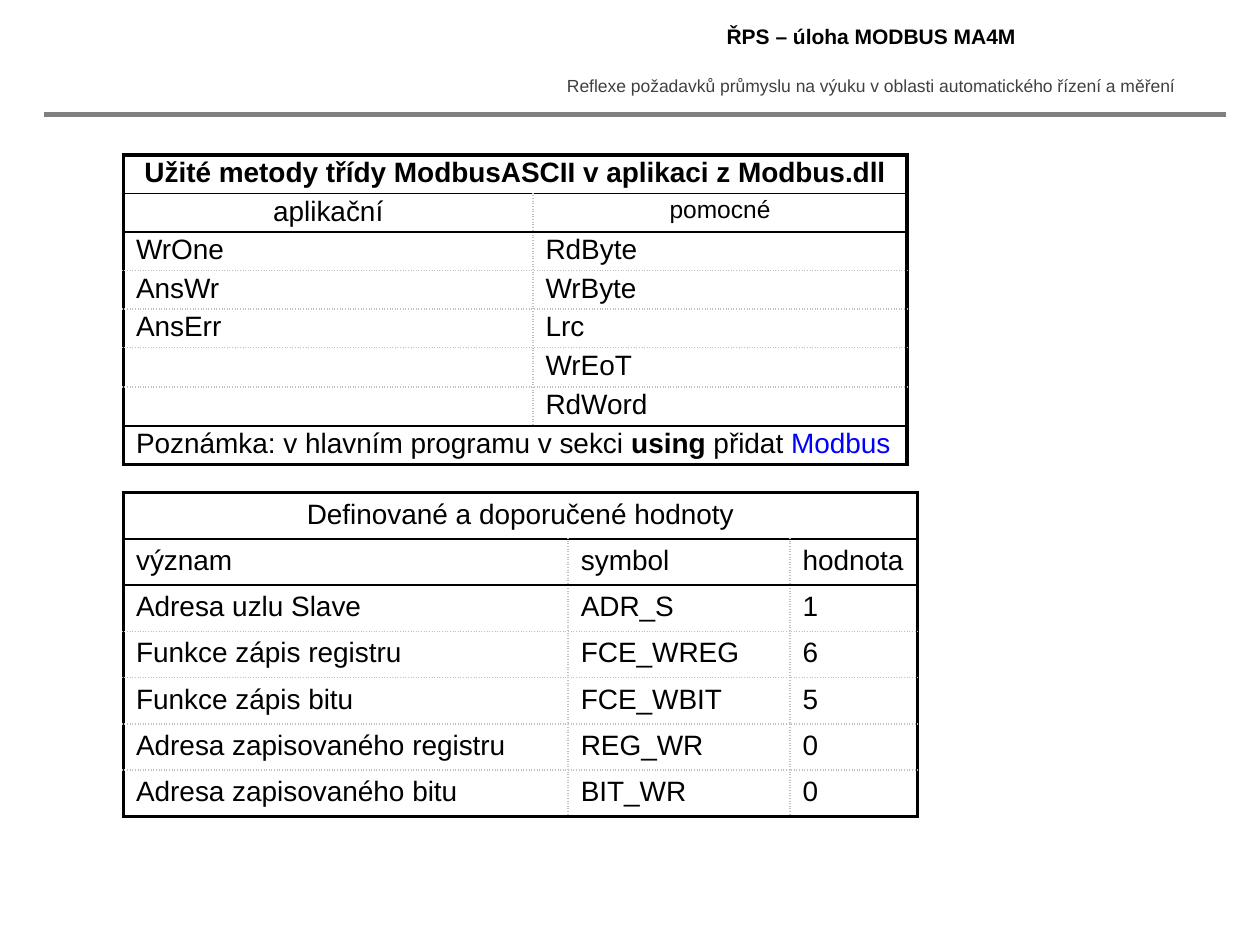
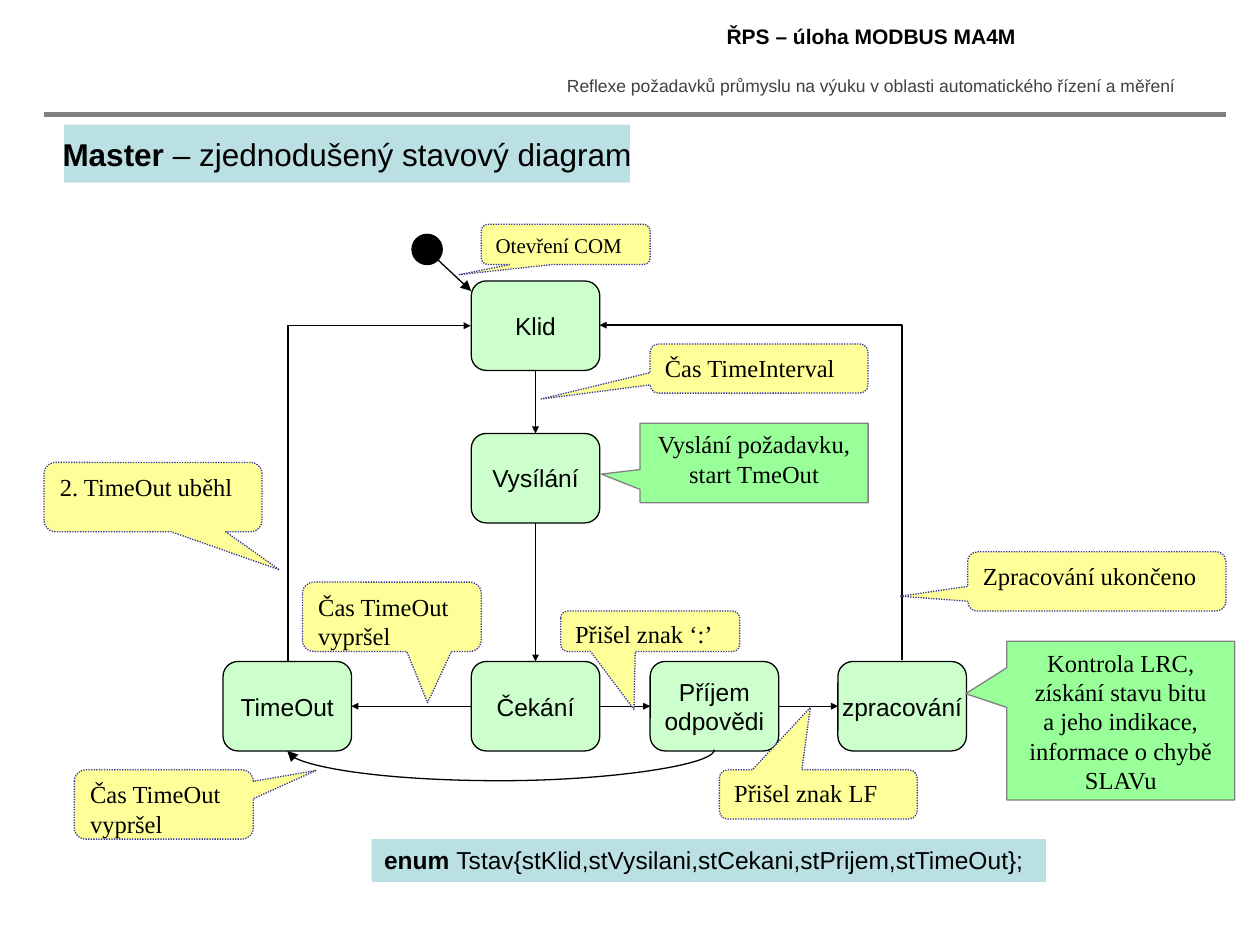
"""Build two slides on a Modbus task: method tables and a state diagram."""
from dataclasses import dataclass
from typing import NamedTuple

from lxml.etree import SubElement
from pptx import Presentation
from pptx.dml.color import RGBColor
from pptx.enum.dml import MSO_LINE
from pptx.enum.shapes import MSO_CONNECTOR, MSO_SHAPE
from pptx.enum.text import MSO_ANCHOR, MSO_AUTO_SIZE, PP_ALIGN
from pptx.oxml.ns import qn
from pptx.util import Inches, Pt

BLACK, GREY, DOTTED_GREY, TAGLINE_GREY = "000000", "808080", "C0C0C0", "404040"
STATE_GREEN, ACTION_GREEN, EVENT_YELLOW = "CCFFCC", "99FF99", "FFFF99"
BAND_BLUE, EVENT_BORDER, LINK_BLUE = "BBE0E3", "333399", "0000FF"
SANS, SERIF = "Arial", "Times New Roman"
HEADING = "ŘPS – úloha MODBUS MA4M"
TAGLINE = "Reflexe požadavků průmyslu na výuku v oblasti automatického řízení a měření"
STATE_WIDTH, STATE_HEIGHT = 1.02, 0.71
TOP, LEFT, BOTTOM, RIGHT = range(4)


class Run(NamedTuple):
    text: str
    bold: bool = False
    color: str = BLACK
    size: float | None = None


class Box(NamedTuple):
    left: float
    top: float
    width: float
    height: float


@dataclass
class Grid:
    box: Box
    columns: list[float]
    rows: list[list]
    solid_lines: set[int]
    centered_rows: int
    vertical_margin: float


@dataclass
class State:
    name: str
    left: float
    top: float


@dataclass
class Callout:
    text: str
    box: Box
    tip: tuple[float, float]
    size: float = 14
    action: bool = False


@dataclass
class Route:
    start: str
    start_side: int
    end: str
    end_side: int
    preset: str = "straightConnector1"
    box: Box | None = None
    rotation: int = 0
    flipped: bool = False
    adjustment: int | None = None
    head: str = "sm"


GRIDS = [
    Grid(Box(0.98, 1.23, 6.22, 2.45), [3.25, 2.97], [
        [[Run("Užité metody třídy ModbusASCII v aplikaci z Modbus.dll", bold=True)]],
        ["aplikační", [Run("pomocné", size=14)]],
        ["WrOne", "RdByte"],
        ["AnsWr", "WrByte"],
        ["AnsErr", "Lrc"],
        ["", "WrEoT"],
        ["", "RdWord"],
        [[Run("Poznámka: v hlavním programu v sekci "), Run("using ", bold=True),
          Run("přidat "), Run("Modbus", color=LINK_BLUE)]],
    ], {1, 2, 7}, 2, 0.02),
    Grid(Box(0.98, 3.91, 6.3, 2.57), [3.53, 1.76, 1.01], [
        ["Definované a doporučené hodnoty"],
        ["význam", "symbol", "hodnota"],
        ["Adresa uzlu Slave", "ADR_S", "1"],
        ["Funkce zápis registru", "FCE_WREG", "6"],
        ["Funkce zápis bitu", "FCE_WBIT", "5"],
        ["Adresa zapisovaného registru", "REG_WR", "0"],
        ["Adresa zapisovaného bitu", "BIT_WR", "0"],
    ], {1, 2}, 1, 0.05),
]

STATES = [
    State("Klid", 3.74, 2.23),
    State("Vysílání", 3.74, 3.44),
    State("Čekání", 3.74, 5.25),
    State("Příjem\nodpovědi", 5.16, 5.25),
    State("TimeOut", 1.77, 5.25),
    State("zpracování", 6.65, 5.25),
]

ROUTES = [
    Route("Klid", BOTTOM, "Vysílání", TOP),
    Route("Vysílání", BOTTOM, "Čekání", TOP),
    Route("Čekání", RIGHT, "Příjem\nodpovědi", LEFT),
    Route("Čekání", LEFT, "TimeOut", RIGHT),
    Route("Příjem\nodpovědi", RIGHT, "zpracování", LEFT),
    Route("zpracování", TOP, "Klid", RIGHT, "bentConnector2",
          Box(4.63, 2.71, 2.66, 2.4), 90, True),
    Route("TimeOut", TOP, "Klid", LEFT, "bentConnector2",
          Box(1.68, 3.19, 2.66, 1.45), 270),
    Route("Příjem\nodpovědi", BOTTOM, "TimeOut", BOTTOM, "curvedConnector3",
          Box(3.97, 4.26, 0.01, 3.39), 90, adjustment=2500000, head="med"),
]

CALLOUTS = [
    Callout("Otevření COM", Box(3.82, 1.78, 1.34, 0.32), (-0.63, 0.75), size=12),
    Callout("Čas TimeInterval", Box(5.16, 2.73, 1.73, 0.39), (-1.0, 0.62)),
    Callout("Vyslání požadavku,\nstart TmeOut", Box(5.08, 3.36, 1.81, 0.63),
            (-0.67, 0.14), action=True),
    Callout("Čas TimeOut\nvypršel", Box(2.4, 4.62, 1.42, 0.55), (0.2, 1.24)),
    Callout("2. TimeOut uběhl", Box(0.35, 3.67, 1.73, 0.55), (0.58, 1.05)),
    Callout("Zpracování ukončeno", Box(7.68, 4.38, 2.05, 0.47), (-0.76, 0.25)),
    Callout("Přišel znak ‘:’", Box(4.45, 4.85, 1.42, 0.32), (-0.09, 1.94)),
    Callout("Čas TimeOut\nvypršel", Box(0.59, 6.11, 1.42, 0.55), (0.85, -0.49)),
    Callout("Kontrola LRC,\nzískání stavu bitu\na jeho indikace,\ninformace o chybě SLAVu",
            Box(7.99, 5.09, 1.81, 1.26), (-0.68, -0.17), action=True),
    Callout("Přišel znak LF", Box(5.71, 6.11, 1.57, 0.39), (-0.04, -1.77)),
]


def rgb(color: str) -> RGBColor:
    return RGBColor.from_string(color)


def inches(box: Box) -> list[int]:
    return [Inches(value) for value in box]


def write(frame, text: str | list[Run], *, size: float = 14, font: str = SANS,
          color: str = BLACK, bold: bool = False, align=PP_ALIGN.LEFT,
          anchor=MSO_ANCHOR.TOP, wrap: bool = True) -> None:
    frame.word_wrap = wrap
    frame.auto_size = MSO_AUTO_SIZE.NONE
    frame.vertical_anchor = anchor
    lines = [text] if isinstance(text, list) else [
        [Run(line, bold, color)] if line else [] for line in text.split("\n")]
    for index, line in enumerate(lines):
        paragraph = frame.paragraphs[0] if index == 0 else frame.add_paragraph()
        paragraph.alignment = align
        for item in line:
            run = paragraph.add_run()
            run.text = item.text
            run.font.name = font
            run.font.size = Pt(item.size or size)
            run.font.bold = item.bold
            run.font.color.rgb = rgb(item.color)
        if not line:
            SubElement(paragraph._p, qn("a:endParaRPr"), sz=str(int(size * 100)))


def add_box(slide, preset, box: Box, fill: str, line: str | None = None):
    shape = slide.shapes.add_shape(preset, *inches(box))
    shape.shadow.inherit = False
    shape.fill.solid()
    shape.fill.fore_color.rgb = rgb(fill)
    if line:
        shape.line.color.rgb = rgb(line)
        shape.line.width = Pt(0.75)
    else:
        shape.line.fill.background()
    return shape


def add_line(slide, start: tuple[float, float], end: tuple[float, float], *,
             color: str = BLACK, width: float = 0.75, head: str | None = None):
    connector = slide.shapes.add_connector(
        MSO_CONNECTOR.STRAIGHT, *[Inches(value) for value in (*start, *end)])
    connector.line.color.rgb = rgb(color)
    connector.line.width = Pt(width)
    if head:
        SubElement(connector.line._get_or_add_ln(), qn("a:tailEnd"),
                   type="triangle", w=head, len=head)
    SubElement(connector._element.spPr, qn("a:effectLst"))
    return connector


def add_route(slide, route: Route, states: dict) -> None:
    connector = add_line(slide, (0, 0), (1, 1), head=route.head)
    connector.begin_connect(states[route.start], route.start_side)
    connector.end_connect(states[route.end], route.end_side)
    if route.box is None:
        return
    properties = connector._element.spPr
    transform = properties.find(qn("a:xfrm"))
    for name in ("flipH", "flipV"):
        transform.attrib.pop(name, None)
    connector.left, connector.top, connector.width, connector.height = inches(route.box)
    transform.set("rot", str(route.rotation * 60000))
    if route.flipped:
        transform.set("flipH", "1")
    geometry = properties.find(qn("a:prstGeom"))
    geometry.set("prst", route.preset)
    if route.adjustment is not None:
        SubElement(geometry.find(qn("a:avLst")), qn("a:gd"), name="adj1",
                   fmla=f"val {route.adjustment}")


def add_callout(slide, callout: Callout) -> None:
    if callout.action:
        preset, fill, line = MSO_SHAPE.RECTANGULAR_CALLOUT, ACTION_GREEN, GREY
    else:
        preset, fill, line = MSO_SHAPE.ROUNDED_RECTANGULAR_CALLOUT, EVENT_YELLOW, EVENT_BORDER
    shape = add_box(slide, preset, callout.box, fill, line)
    shape.adjustments[0], shape.adjustments[1] = callout.tip
    if not callout.action:
        shape.line.dash_style = MSO_LINE.ROUND_DOT
    write(shape.text_frame, callout.text, size=callout.size, font=SERIF,
          align=PP_ALIGN.CENTER if callout.action else PP_ALIGN.LEFT)


def add_border(cell, side: str, position: int, last: int, solid: set[int]) -> None:
    outer = position in (0, last)
    dark = outer or position in solid
    border = SubElement(cell._tc.get_or_add_tcPr(), qn(f"a:{side}"),
                        w=str(Pt(2.25 if outer else 1)))
    fill = SubElement(border, qn("a:solidFill"))
    SubElement(fill, qn("a:srgbClr"), val=BLACK if dark else DOTTED_GREY)
    SubElement(border, qn("a:prstDash"), val="solid" if dark else "sysDot")


def add_grid(slide, grid: Grid) -> None:
    row_count, column_count = len(grid.rows), len(grid.columns)
    table = slide.shapes.add_table(row_count, column_count, *inches(grid.box)).table
    table.first_row = table.horz_banding = False
    for column, width in zip(table.columns, grid.columns):
        column.width = Inches(width)
    for row_index, texts in enumerate(grid.rows):
        table.rows[row_index].height = Inches(grid.box.height / row_count)
        if len(texts) == 1:
            table.cell(row_index, 0).merge(table.cell(row_index, column_count - 1))
        for column_index, text in enumerate(texts):
            cell = table.cell(row_index, column_index)
            cell.margin_top = cell.margin_bottom = Inches(grid.vertical_margin)
            centered = row_index < grid.centered_rows
            write(cell.text_frame, text, size=16,
                  align=PP_ALIGN.CENTER if centered else PP_ALIGN.LEFT)
            span = column_count if cell.is_merge_origin else 1
            add_border(cell, "lnL", column_index, column_count, set())
            add_border(cell, "lnR", column_index + span, column_count, set())
            add_border(cell, "lnT", row_index, row_count, grid.solid_lines)
            add_border(cell, "lnB", row_index + 1, row_count, grid.solid_lines)
            cell.fill.background()


def add_page(presentation):
    slide = presentation.slides.add_slide(presentation.slide_layouts[5])
    title = slide.shapes.title
    title.left, title.top, title.width, title.height = inches(Box(4.3, 0.14, 5.23, 0.31))
    write(title.text_frame, HEADING, size=12, bold=True, align=PP_ALIGN.CENTER)
    tagline = slide.shapes.add_textbox(*inches(Box(4.3, 0.55, 5.22, 0.27)))
    write(tagline.text_frame, TAGLINE, size=10, color=TAGLINE_GREY, align=PP_ALIGN.CENTER)
    add_line(slide, (0.35, 0.91), (9.73, 0.91), color=GREY, width=3)
    return slide


def add_diagram(slide) -> None:
    band = add_box(slide, MSO_SHAPE.RECTANGLE, Box(0.51, 0.99, 4.49, 0.46), BAND_BLUE)
    write(band.text_frame, [Run("Master", bold=True), Run(" – zjednodušený stavový diagram")],
          size=18, align=PP_ALIGN.CENTER, anchor=MSO_ANCHOR.MIDDLE, wrap=False)
    states = {}
    for state in STATES:
        box = Box(state.left, state.top, STATE_WIDTH, STATE_HEIGHT)
        shape = add_box(slide, MSO_SHAPE.ROUNDED_RECTANGLE, box, STATE_GREEN, BLACK)
        write(shape.text_frame, state.name, align=PP_ALIGN.CENTER,
              anchor=MSO_ANCHOR.MIDDLE, wrap=False)
        states[state.name] = shape
    add_box(slide, MSO_SHAPE.OVAL, Box(3.27, 1.86, 0.24, 0.24), BLACK, BLACK)
    add_line(slide, (3.43, 2.02), (3.74, 2.31), head="med")
    for route in ROUTES:
        add_route(slide, route, states)
    for callout in CALLOUTS:
        add_callout(slide, callout)
    code = add_box(slide, MSO_SHAPE.RECTANGLE, Box(2.95, 6.66, 5.35, 0.34), BAND_BLUE)
    write(code.text_frame, [Run("enum ", bold=True),
                            Run("Tstav{stKlid,stVysilani,stCekani,stPrijem,stTimeOut};")])


def main() -> None:
    presentation = Presentation()
    presentation.slide_width, presentation.slide_height = Inches(10), Inches(7.5)
    tables_slide = add_page(presentation)
    for grid in GRIDS:
        add_grid(tables_slide, grid)
    add_diagram(add_page(presentation))
    presentation.save("out.pptx")


main()
